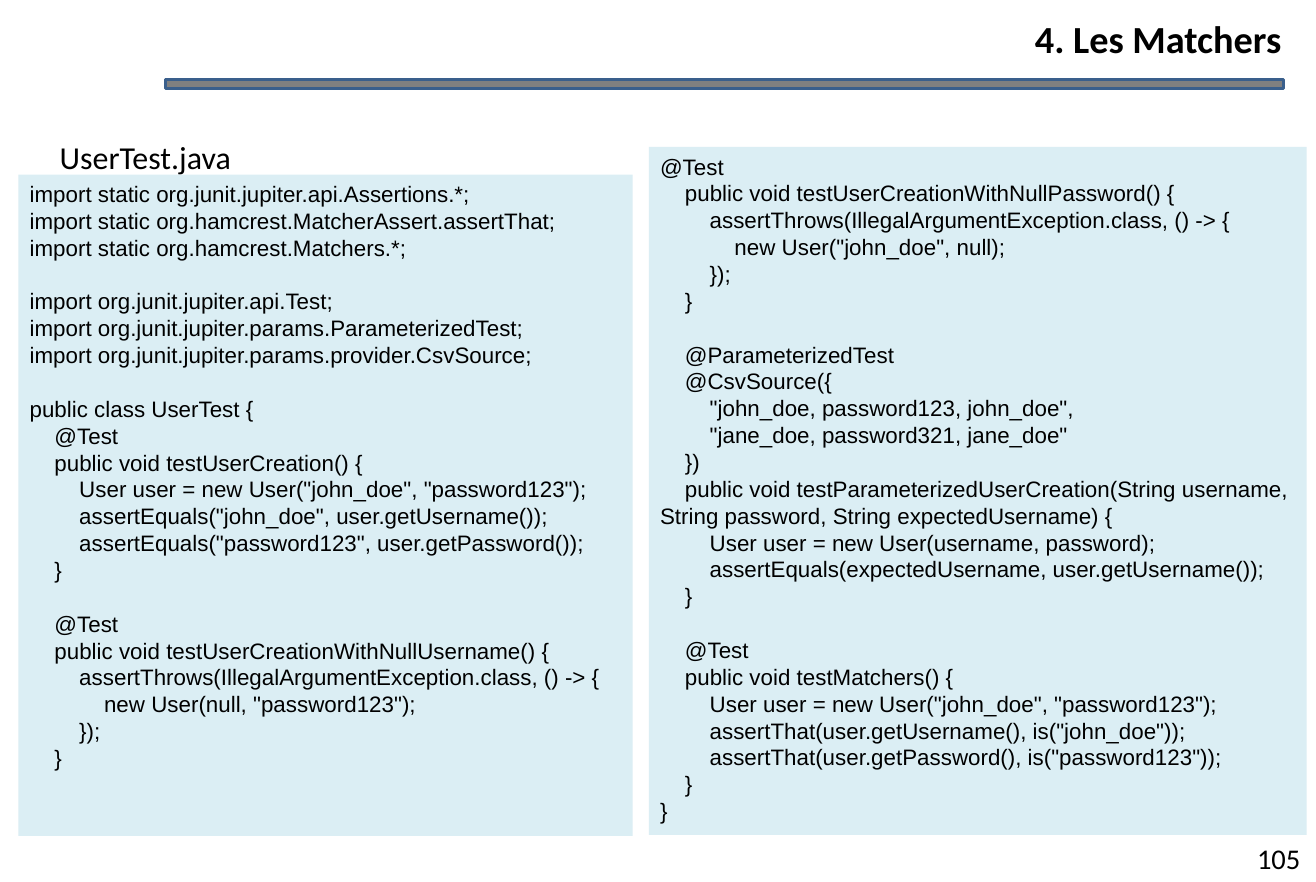
from pptx import Presentation
from pptx.dml.color import RGBColor
from pptx.enum.shapes import MSO_SHAPE
from pptx.enum.text import MSO_ANCHOR, MSO_AUTO_SIZE, PP_ALIGN
from pptx.util import Inches, Pt

BLACK = RGBColor(0, 0, 0)
GREY = RGBColor(0x80, 0x80, 0x80)
BLUE = RGBColor(0x3A, 0x5F, 0x8C)
PALE = RGBColor(0xDB, 0xEE, 0xF4)
PITCH = Pt(16.84)

TITLE = "4. Les Matchers"
FILE = "UserTest.java"
PAGE = "105"

LEFT = '''import static org.junit.jupiter.api.Assertions.*;
import static org.hamcrest.MatcherAssert.assertThat;
import static org.hamcrest.Matchers.*;

import org.junit.jupiter.api.Test;
import org.junit.jupiter.params.ParameterizedTest;
import org.junit.jupiter.params.provider.CsvSource;

public class UserTest {
    @Test
    public void testUserCreation() {
        User user = new User("john_doe", "password123");
        assertEquals("john_doe", user.getUsername());
        assertEquals("password123", user.getPassword());
    }

    @Test
    public void testUserCreationWithNullUsername() {
        assertThrows(IllegalArgumentException.class, () -> {
            new User(null, "password123");
        });
    }'''

RIGHT = '''@Test
    public void testUserCreationWithNullPassword() {
        assertThrows(IllegalArgumentException.class, () -> {
            new User("john_doe", null);
        });
    }

    @ParameterizedTest
    @CsvSource({
        "john_doe, password123, john_doe",
        "jane_doe, password321, jane_doe"
    })
    public void testParameterizedUserCreation(String username, String password, String expectedUsername) {
        User user = new User(username, password);
        assertEquals(expectedUsername, user.getUsername());
    }

    @Test
    public void testMatchers() {
        User user = new User("john_doe", "password123");
        assertThat(user.getUsername(), is("john_doe"));
        assertThat(user.getPassword(), is("password123"));
    }
}'''

PANELS = [
    (LEFT, (0.16, 1.52, 5.35, 5.76)),
    (RIGHT, (5.65, 1.28, 5.73, 5.99)),
]


def write(shape, text, size, font="Calibri", bold=False, align=PP_ALIGN.LEFT,
          line=1.0, inset=(0.1, 0.05)):
    """Fill a shape with text; an empty line becomes space before the next."""
    frame = shape.text_frame
    frame.word_wrap = True
    frame.auto_size = MSO_AUTO_SIZE.NONE
    frame.vertical_anchor = MSO_ANCHOR.TOP
    frame.margin_left, frame.margin_top = map(Inches, inset)
    frame.margin_right = min(frame.margin_left, Inches(0.1))
    frame.margin_bottom = frame.margin_top
    para, gap = frame.paragraphs[0], False
    for row, words in enumerate(text.split("\n")):
        if not words:
            gap = True
            continue
        if row:
            para = frame.add_paragraph()
        para.alignment = align
        para.line_spacing = line
        para.space_before = PITCH if gap else Pt(0)
        gap = False
        run = para.add_run()
        run.text = words
        run.font.name, run.font.size = font, Pt(size)
        run.font.bold, run.font.color.rgb = bold, BLACK


def block(slide, box, fill):
    shape = slide.shapes.add_shape(MSO_SHAPE.RECTANGLE, *map(Inches, box))
    shape.shadow.inherit = False
    shape.fill.solid()
    shape.fill.fore_color.rgb = fill
    shape.line.fill.background()
    return shape


def label(slide, box):
    return slide.shapes.add_textbox(*map(Inches, box))


def main():
    deck = Presentation()
    deck.slide_width, deck.slide_height = Inches(11.46), Inches(7.68)
    slide = deck.slides.add_slide(deck.slide_layouts[5])

    bar = block(slide, (1.44, 0.69, 9.74, 0.08), GREY)
    bar.line.color.rgb, bar.line.width = BLUE, Pt(2)

    title = slide.shapes.title
    title.left, title.top = Inches(1.95), Inches(0.13)
    title.width, title.height = Inches(9.21), Inches(0.4)
    write(title, TITLE, 24, bold=True, align=PP_ALIGN.RIGHT, inset=(0, 0))

    write(label(slide, (10.81, 7.27, 0.65, 0.41)), PAGE, 17.9,
          align=PP_ALIGN.CENTER)
    write(label(slide, (0.22, 1.1, 11.02, 0.46)), FILE, 20, line=1.15,
          inset=(0.3, 0.05))

    for code, box in PANELS:
        write(block(slide, box, PALE), code, 14, font="Arial", line=PITCH)

    deck.save("out.pptx")


if __name__ == "__main__":
    main()
